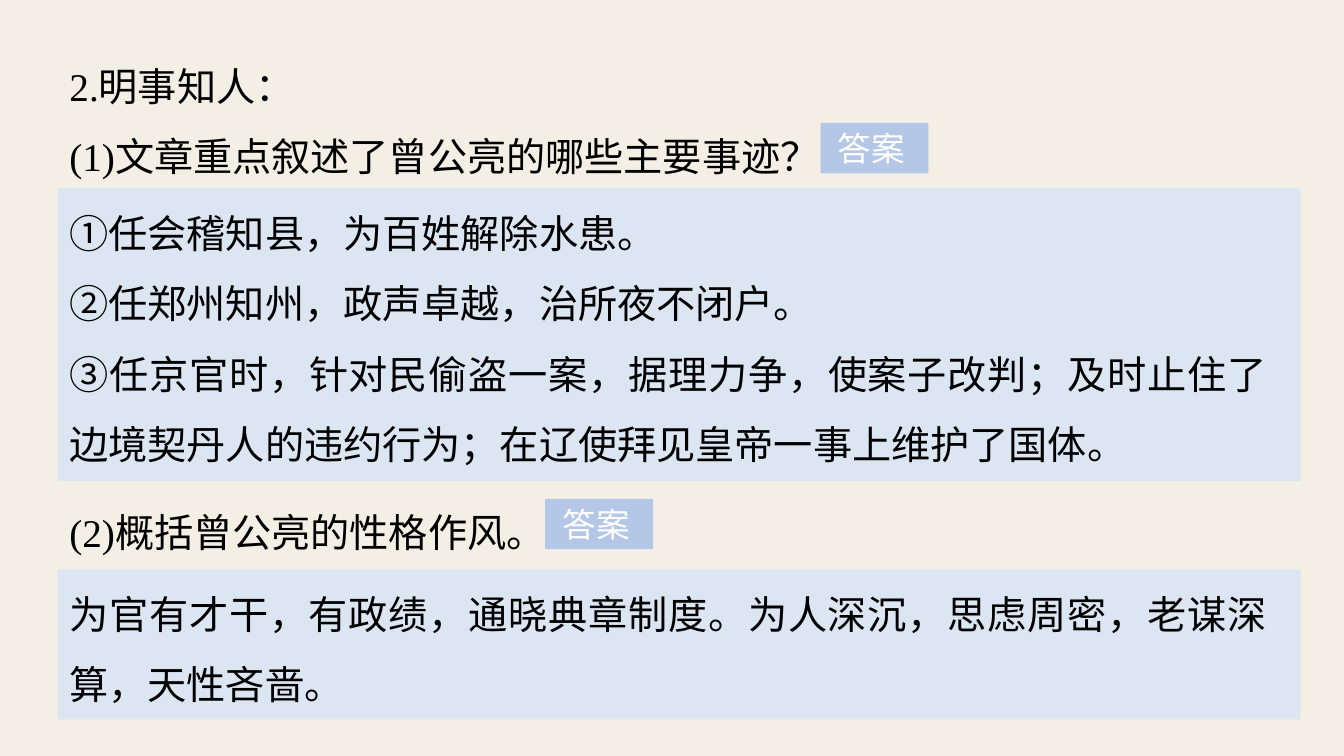
import lxml.etree
import pptx
import pptx.dml.color
import pptx.enum.shapes
import pptx.enum.text
import pptx.oxml.ns
import pptx.util

Cm = pptx.util.Cm
COLOURS = {"page": "F3EFE5", "panel": "DCE6F2", "button": "B4C7E7", "text": "000000", "label": "FFFFFF"}
LATIN_FONT = "Times New Roman"
CHINESE_FONT = "Noto Sans CJK SC"
CIRCLED_NUMBERS = "①②③"
TEXT_LEFT = 1.42
QUESTION_WIDTH = 31.17
QUESTION_HEIGHT = 2.1


def rgb(name):
    """Return the named colour of the palette."""
    return pptx.dml.color.RGBColor.from_string(COLOURS[name])


def style_paragraph(para, size, colour, font_name):
    """Set the size, colour and both typefaces of a paragraph."""
    para.font.size = pptx.util.Pt(size)
    para.font.color.rgb = rgb(colour)
    para.font.name = font_name
    defaults = para._p.pPr.find(pptx.oxml.ns.qn("a:defRPr"))
    lxml.etree.SubElement(defaults, pptx.oxml.ns.qn("a:ea"), typeface=CHINESE_FONT)


def fill_text(box, lines):
    """Write justified body lines into a box, with circled numbers in the Chinese font."""
    frame = box.text_frame
    frame.word_wrap = True
    frame.auto_size = pptx.enum.text.MSO_AUTO_SIZE.NONE
    frame.vertical_anchor = pptx.enum.text.MSO_ANCHOR.TOP
    frame.margin_left = frame.margin_right = Cm(0.33)
    frame.margin_top = frame.margin_bottom = Cm(0.18)
    for index, line in enumerate(lines):
        para = frame.add_paragraph() if index else frame.paragraphs[0]
        para.alignment = pptx.enum.text.PP_ALIGN.JUSTIFY
        para.line_spacing = 1.5
        para.space_before = pptx.util.Pt(0)
        style_paragraph(para, 28, "text", LATIN_FONT)
        if line[0] in CIRCLED_NUMBERS:
            number = para.add_run()
            number.text = line[0]
            number.font.name = CHINESE_FONT
            line = line[1:]
        para.add_run().text = line


def add_rectangle(page, left, top, width, height, colour):
    """Add a plain filled rectangle."""
    box = page.shapes.add_shape(
        pptx.enum.shapes.MSO_SHAPE.RECTANGLE, Cm(left), Cm(top), Cm(width), Cm(height))
    box.shadow.inherit = False
    box.fill.solid()
    box.fill.fore_color.rgb = rgb(colour)
    box.line.fill.background()
    return box


def add_heading(page, left, top, width, height, text):
    """Place the heading in the title placeholder."""
    title = page.shapes.title
    title.left, title.top, title.width, title.height = Cm(left), Cm(top), Cm(width), Cm(height)
    fill_text(title, [text])


def add_question(page, left, top, width, height, text, button_left):
    """Add a question with its answer button."""
    box = page.shapes.add_textbox(Cm(left), Cm(top), Cm(width), Cm(height))
    fill_text(box, [text])
    button = add_rectangle(page, left + button_left, top + 0.53, 2.72, 1.27, "button")
    frame = button.text_frame
    frame.vertical_anchor = pptx.enum.text.MSO_ANCHOR.MIDDLE
    para = frame.paragraphs[0]
    para.alignment = pptx.enum.text.PP_ALIGN.LEFT
    style_paragraph(para, 24, "label", CHINESE_FONT)
    para.add_run().text = " 答案"


def add_answer(page, left, top, width, height, lines):
    """Add an answer panel with its text on top."""
    add_rectangle(page, left + 0.04, top, width, height, "panel")
    box = page.shapes.add_textbox(Cm(left), Cm(top - 0.26), Cm(width - 0.46), Cm(height + 0.1))
    fill_text(box, lines)


def main():
    """Build the slide and save the deck."""
    deck = pptx.Presentation()
    deck.slide_width, deck.slide_height = Cm(33.87), Cm(19.05)
    page = deck.slides.add_slide(deck.slide_layouts.get_by_name("Title Only"))
    page.background.fill.solid()
    page.background.fill.fore_color.rgb = rgb("page")

    add_heading(page, TEXT_LEFT, 0.79, QUESTION_WIDTH, QUESTION_HEIGHT, "2.明事知人：")
    add_question(page, TEXT_LEFT, 2.57, QUESTION_WIDTH, QUESTION_HEIGHT,
                 "(1)文章重点叙述了曾公亮的哪些主要事迹？", 19.26)
    add_answer(page, TEXT_LEFT, 4.75, 31.32, 7.37, [
        "①任会稽知县，为百姓解除水患。",
        "②任郑州知州，政声卓越，治所夜不闭户。",
        "③任京官时，针对民偷盗一案，据理力争，使案子改判；及时止住了边境契丹人的违约行为；"
        "在辽使拜见皇帝一事上维护了国体。",
    ])
    add_question(page, TEXT_LEFT, 12.04, QUESTION_WIDTH, QUESTION_HEIGHT,
                 "(2)概括曾公亮的性格作风。", 12.32)
    add_answer(page, TEXT_LEFT, 14.35, 31.32, 3.78, [
        "为官有才干，有政绩，通晓典章制度。为人深沉，思虑周密，老谋深算，天性吝啬。",
    ])
    deck.save("out.pptx")


if __name__ == "__main__":
    main()
